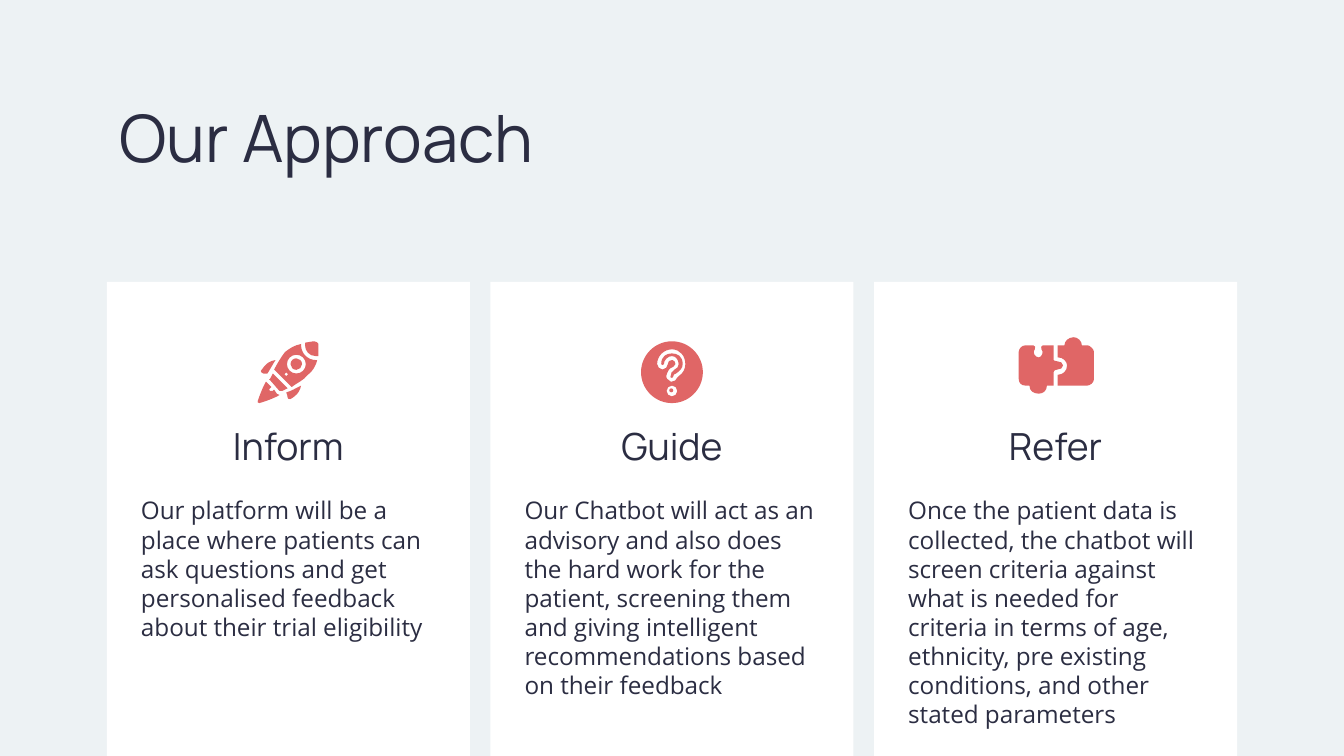
"""Build the "Our Approach" slide with three cards, each holding an icon, a heading and a text."""

from pptx import Presentation
from pptx.dml.color import RGBColor
from pptx.enum.shapes import MSO_SHAPE
from pptx.enum.text import MSO_ANCHOR, PP_ALIGN
from pptx.oxml.ns import qn
from pptx.util import Cm, Pt

RECTANGLE = MSO_SHAPE.RECTANGLE
LEFT, CENTER = PP_ALIGN.LEFT, PP_ALIGN.CENTER
TOP = MSO_ANCHOR.TOP

BACKGROUND, WHITE, INK, CORAL = "EDF2F4", "FFFFFF", "2B2D42", "E06666"

TITLE = "Our Approach"

ROCKET = [
    ["203,278 201,282 200,282,200,283,201,283 208,291 209,291,210,291,210,291 214,289"],
    ["234,254 231,254,229,255,227,255 227,257 227,261,230,265,235,265 237,265 "
     "237,262,237,259,237,256 237,255,235,254,234,254"],
    [(220.5, 271, 4.3)],
    ["224,256 219,257,216,259,212,262 209,266,206,271,204,275 217,288 "
     "221,285,226,283,229,279 233,276,235,272,236,268 235,268 229,268,224,263,224,257",
     (220.5, 271, 7), (213, 278.5, 1.4)],
    ["224,287 220,289,217,291,213,292 214,294,214,296,214,296 214,297,215,297,216,297 "
     "216,297,223,294,224,287"],
    ["205,268 197,269,195,276,194,276 194,277,195,278,196,278 199,278 201,275,203,271,205,268"],
    ["198,284 196,287,193,295,192,298 191,299,192,300,193,300 197,299,205,296,208,294 "
     "207,293,207,293,206,293 204,290 203,291 202,291,201,291,201,291 "
     "200,290,200,290,201,289 202,288 199,285"],
]

QUESTION = [
    [(499.5, 290.5, 1.5)],
    ["500,263 496,263,492,265,492,271 492,272,494,272,494,271 494,268,497,265,500,265 "
     "503,265,505,268,505,271 505,273,504,274,502,275 500,276,499,278,499,280 "
     "498,281,501,282,501,280 501,279,502,278,503,278 506,276,508,274,508,271 "
     "508,265,504,263,500,263"],
    [(500, 277, 23), (500, 291, 4),
     "500,260 506,260,510,265,510,271 510,275,508,278,505,280 504,281,504,281,504,281 "
     "503,283,502,284,500,284 500,284,499,284,499,284 497,283,495,281,496,279 "
     "497,276,498,274,501,273 503,272,503,270,502,269 501,268,500,268,500,268 "
     "498,268,497,269,497,271 497,273,495,275,493,275 491,275,489,273,489,271 "
     "489,265,494,260,500,260"],
]

PUZZLE = [
    ["763,257 760,257,758,260,758,262 758,282 758,285,760,287,763,287 766,287 "
     "766,291,769,293,773,293 776,293,779,291,779,287 784,287 784,277 "
     "784,276,785,275,787,275 789,275,791,274,791,272 791,270,789,269,787,269 "
     "785,269,784,268,784,268 784,257 776,257 775,257,774,259,775,260 "
     "777,262,775,266,773,266 770,266,768,262,770,260 771,259,770,257,769,257"],
    ["799,251 795,251,792,254,792,257 787,257 787,266 791,266,794,269,794,272 "
     "794,276,791,279,787,279 787,287 809,287 811,287,814,285,814,282 814,262 "
     "814,260,811,257,809,257 805,257 805,254,802,251,799,251"],
]

CARDS = [
    ("Inform", "Our platform will be a place where patients can ask questions and get "
     "personalised feedback about their trial eligibility", 4.06, ROCKET),
    ("Guide", "Our Chatbot will act as an advisory and also does the hard work for the "
     "patient, screening them and giving intelligent recommendations based on their feedback",
     4.27, QUESTION),
    ("Refer", "Once the patient data is collected, the chatbot will screen criteria against "
     "what is needed for criteria in terms of age, ethnicity, pre existing conditions, and "
     "other stated parameters", 4.65, PUZZLE),
]

SLIDE_WIDTH, SLIDE_HEIGHT = 25.4, 14.29
CARD_PITCH = 7.25
CARD_WIDTH, CARD_TOP, CARD_HEIGHT = 6.86, 5.33, 11.76
HEADING_WIDTH, HEADING_TOP, HEADING_HEIGHT = 4.9, 7.75, 1.24
BODY_WIDTH, BODY_TOP = 6.07, 9.12
ICON_UNIT = Cm(0.0254)
ARC_HANDLE = 0.55

FRAME_FORMAT = {
    "word_wrap": True, "vertical_anchor": TOP,
    "margin_left": Cm(0.25), "margin_right": Cm(0.25),
    "margin_top": Cm(0.25), "margin_bottom": Cm(0.25),
}
TITLE_STYLE = (LEFT, {"name": "Manrope", "size": Pt(35)})
HEADING_STYLE = (CENTER, {"name": "Manrope", "size": Pt(20)})
BODY_STYLE = (LEFT, {"name": "Open Sans", "size": Pt(13)})


def color(hex_string):
    return RGBColor.from_string(hex_string)


def apply(target, values):
    for name, value in values.items():
        setattr(target, name, value)


def paint(shape, hex_string):
    shape.shadow.inherit = False
    shape.fill.solid()
    shape.fill.fore_color.rgb = color(hex_string)
    shape.line.fill.background()


def add_text(slide, text, box, style):
    frame = slide.shapes.add_textbox(*map(Cm, box)).text_frame
    apply(frame, FRAME_FORMAT)
    paragraph = frame.paragraphs[0]
    run = paragraph.add_run()
    run.text = text
    paragraph.alignment, font_format = style
    apply(run.font, font_format)
    run.font.color.rgb = color(INK)


def contour_segments(contour):
    if isinstance(contour, tuple):
        x, y, radius = contour
        handle = radius * ARC_HANDLE
        segments = [[(x + radius, y)]]
        for dx, dy in ((1, 0), (0, 1), (-1, 0), (0, -1)):
            segments.append([
                (x + radius * dx - handle * dy, y + radius * dy + handle * dx),
                (x - radius * dy + handle * dx, y + radius * dx + handle * dy),
                (x - radius * dy, y + radius * dx)])
    else:
        words = [list(map(float, word.split(","))) for word in contour.split()]
        segments = [list(zip(word[::2], word[1::2])) for word in words]
    return [[(x * ICON_UNIT, y * ICON_UNIT) for x, y in segment] for segment in segments]


def bend_curves(shape, segments):
    lines = iter(list(shape.element.iter(qn("a:lnTo"))))
    for segment in segments:
        first, *others = [next(lines) for _ in segment]
        if others:
            first.tag = qn("a:cubicBezTo")
        for line in others:
            first.append(line[0])
            line.getparent().remove(line)


def add_icon(slide, pieces):
    for piece in pieces:
        builder, drawn = None, []
        for contour in piece:
            (start,), *segments = contour_segments(contour)
            if builder is None:
                builder = slide.shapes.build_freeform(*start)
            else:
                builder.move_to(*start)
            builder.add_line_segments([point for segment in segments for point in segment])
            drawn += segments
        shape = builder.convert_to_shape()
        bend_curves(shape, drawn)
        paint(shape, CORAL)


def main():
    presentation = Presentation()
    presentation.slide_width, presentation.slide_height = Cm(SLIDE_WIDTH), Cm(SLIDE_HEIGHT)
    slide = presentation.slides.add_slide(presentation.slide_layouts[6])
    slide.background.fill.solid()
    slide.background.fill.fore_color.rgb = color(BACKGROUND)

    add_text(slide, TITLE, (2.01, 1.58, 11.3, 1.57), TITLE_STYLE)
    for index, (heading, body, body_height, icon) in enumerate(CARDS):
        center = SLIDE_WIDTH / 2 + (index - 1) * CARD_PITCH
        box = (center - CARD_WIDTH / 2, CARD_TOP, CARD_WIDTH, CARD_HEIGHT)
        paint(slide.shapes.add_shape(RECTANGLE, *map(Cm, box)), WHITE)
        add_text(slide, heading, (center - HEADING_WIDTH / 2, HEADING_TOP,
                                  HEADING_WIDTH, HEADING_HEIGHT), HEADING_STYLE)
        add_text(slide, body, (center - BODY_WIDTH / 2, BODY_TOP,
                               BODY_WIDTH, body_height), BODY_STYLE)
        add_icon(slide, icon)

    presentation.save("out.pptx")


if __name__ == "__main__":
    main()
